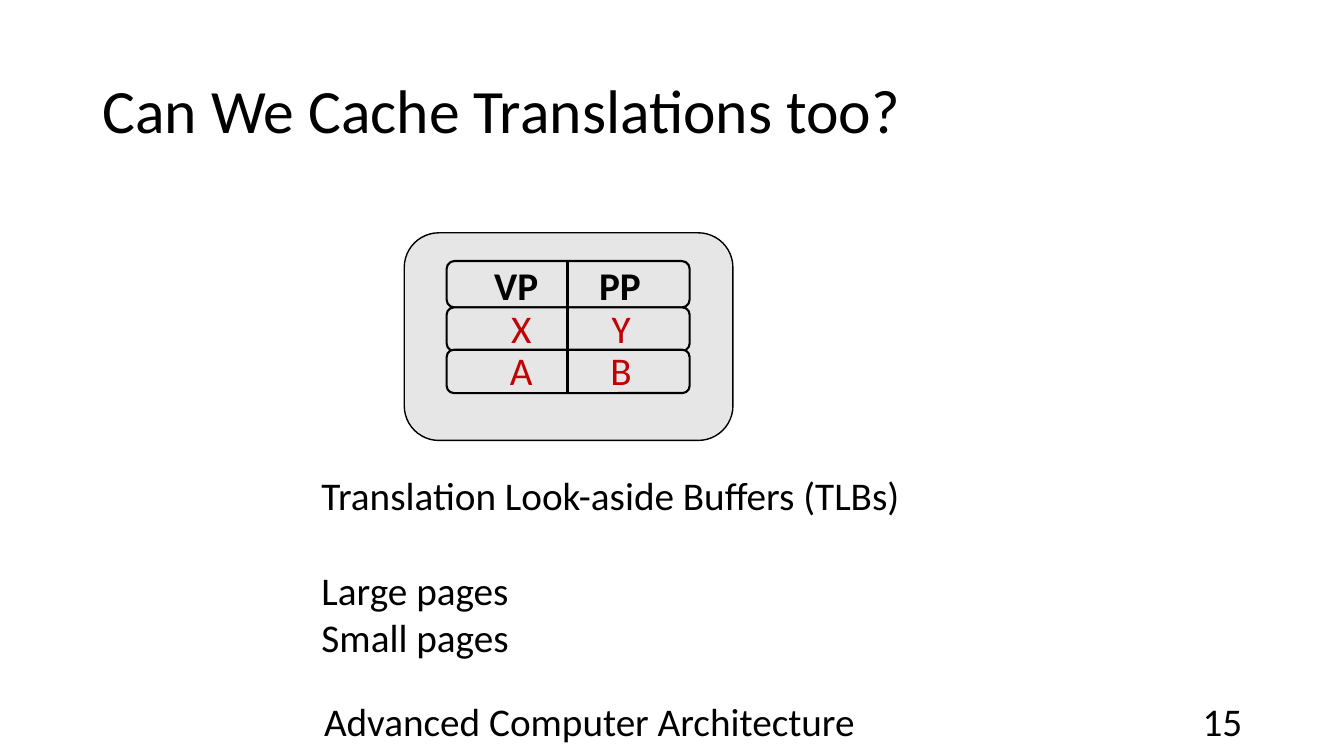
from pptx import Presentation
from pptx.dml.color import RGBColor
from pptx.enum.shapes import MSO_CONNECTOR, MSO_SHAPE
from pptx.enum.text import MSO_ANCHOR, PP_ALIGN
from pptx.oxml.ns import qn
from pptx.util import Inches, Pt
from lxml.etree import SubElement

BLACK = RGBColor(0x00, 0x00, 0x00)
GRAY = RGBColor(0xE7, 0xE6, 0xE6)
RED = RGBColor(0xC0, 0x00, 0x00)


class SlideBuilder:
    font = "Calibri"
    size = 28

    def __init__(self, slide):
        self.s = slide

    def text(self, x, y, w, h, lines, size=None, color=BLACK, bold=False,
             align=PP_ALIGN.LEFT, anchor=MSO_ANCHOR.MIDDLE, wrap=True,
             line_spacing=1.0):
        sp = self.s.shapes.add_textbox(Inches(x), Inches(y), Inches(w), Inches(h))
        tf = sp.text_frame
        tf.word_wrap = wrap
        tf.vertical_anchor = anchor
        for i, (line, before) in enumerate(lines):
            p = tf.add_paragraph() if i else tf.paragraphs[0]
            p.alignment = align
            p.line_spacing = line_spacing
            p.space_before = Pt(before)
            r = p.add_run()
            r.text = line
            r.font.name = self.font
            r.font.size = Pt(size or self.size)
            r.font.bold = bold
            r.font.color.rgb = color

    def box(self, x, y, w, h, line_width):
        sp = self.s.shapes.add_shape(MSO_SHAPE.ROUNDED_RECTANGLE, Inches(x),
                                     Inches(y), Inches(w), Inches(h))
        sp.shadow.inherit = False
        sp.fill.solid()
        sp.fill.fore_color.rgb = GRAY
        sp.line.color.rgb = BLACK
        sp.line.width = Pt(line_width)

    def divider(self, x, top, bottom):
        c = self.s.shapes.add_connector(MSO_CONNECTOR.STRAIGHT, Inches(x),
                                        Inches(top), Inches(x), Inches(bottom))
        c.line.color.rgb = BLACK
        c.line.width = Pt(2.25)
        SubElement(c._element.spPr, qn("a:effectLst"))

    def tlb_row(self, top, height, entries, centers, text_top, color, bold=False):
        self.box(4.43, top, 2.41, height, 1.5)
        self.divider(5.63, top + height - 0.46, top + height)
        for entry, center in zip(entries, centers):
            self.text(center - 0.4, text_top, 0.8, 0.57, [(entry, 0)], color=color,
                      bold=bold, align=PP_ALIGN.CENTER, anchor=MSO_ANCHOR.TOP)


def main():
    prs = Presentation()
    prs.slide_width = Inches(13.33)
    prs.slide_height = Inches(7.5)
    b = SlideBuilder(prs.slides.add_slide(prs.slide_layouts[6]))

    b.text(0.92, 0.4, 11.5, 1.45, [("Can We Cache Translations too?", 0)],
           size=44, line_spacing=0.9)
    b.text(9.42, 6.95, 3, 0.4, [("15", 0)], align=PP_ALIGN.RIGHT)

    b.box(4.01, 2.31, 3.26, 2.06, 1)
    b.tlb_row(2.59, 0.46, ("VP", "PP"), (5.12, 6.15), 2.54, BLACK, bold=True)
    for i, entries in enumerate([("X", "Y"), ("A", "B")]):
        b.tlb_row(3.05 + 0.42 * i, 0.43, entries, (5.17, 6.16), 2.97 + 0.42 * i, RED)

    b.text(3.09, 4.63, 6.02, 1.99,
           [("Translation Look-aside Buffers (TLBs)", 0),
            ("Large pages", 34), ("Small pages", 0)],
           anchor=MSO_ANCHOR.TOP, wrap=False)
    b.text(2.82, 6.95, 6.05, 0.4, [("Advanced Computer Architecture", 0)],
           align=PP_ALIGN.CENTER)

    prs.save("out.pptx")


if __name__ == "__main__":
    main()
